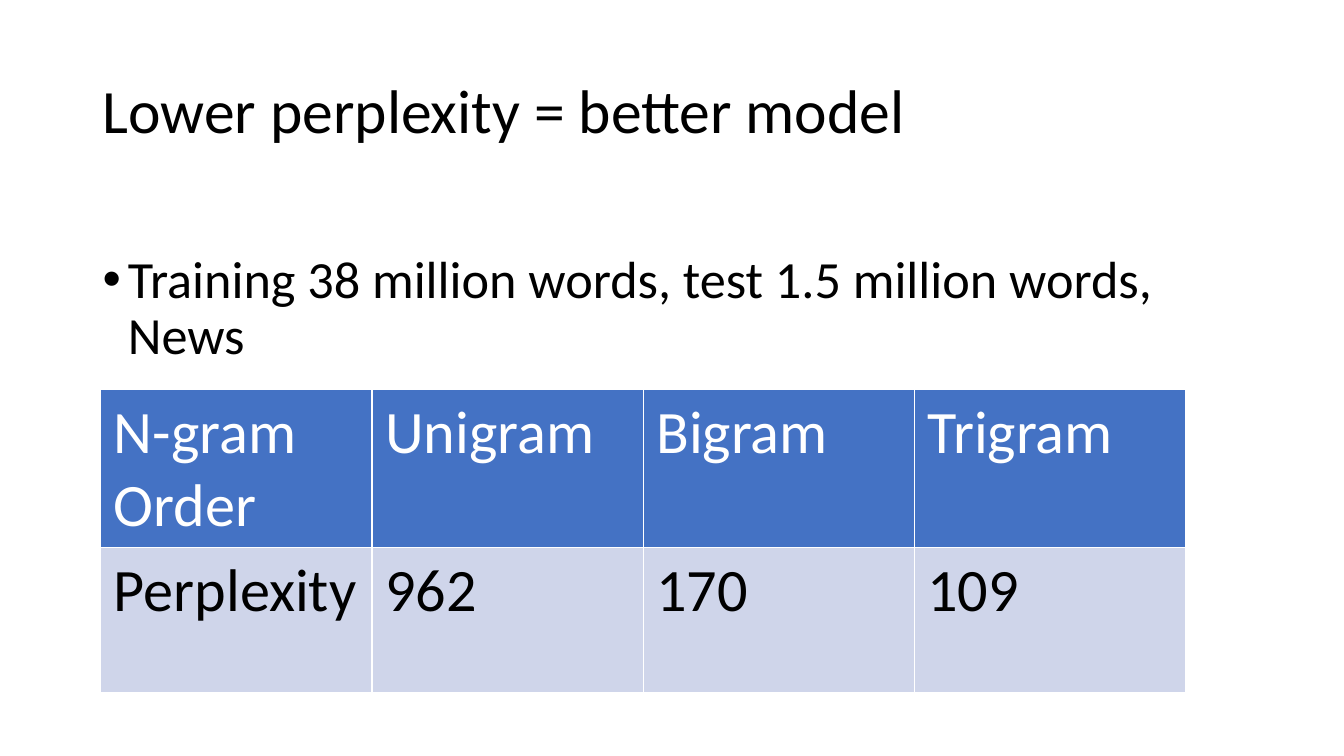
from lxml.etree import SubElement
from pptx import Presentation
from pptx.dml.color import RGBColor as RGB
from pptx.enum.text import MSO_ANCHOR as Anchor
from pptx.oxml.ns import qn
from pptx.util import Inches as In, Pt

COLORS = {"text": "000000", "white": "FFFFFF", "header": "4472C4", "band": "CFD5EA"}
FONT = "Calibri"
LEFT, WIDTH = 0.92, 11.5
TABLE_LEFT, TABLE_TOP, COLUMN_WIDTH = 1, 3.86, 2.69
ROW_HEIGHTS = [1.56, 1.44]
ROWS = [
    ["N-gram Order", "Unigram", "Bigram", "Trigram"],
    ["Perplexity", "962", "170", "109"],
]


def write(frame, text, size, color="text", line_spacing=None):
    paragraph = frame.paragraphs[0]
    paragraph.line_spacing = line_spacing
    run = paragraph.add_run()
    run.text = text
    run.font.name = FONT
    run.font.size = Pt(size)
    run.font.bold = False
    run.font.color.rgb = RGB.from_string(COLORS[color])
    return paragraph


def add_borders(cell, color="white", width=1):
    properties = cell._tc.get_or_add_tcPr()
    for side in ("a:lnL", "a:lnR", "a:lnT", "a:lnB"):
        line = SubElement(properties, qn(side), w=str(Pt(width)))
        fill = SubElement(line, qn("a:solidFill"))
        SubElement(fill, qn("a:srgbClr"), val=COLORS[color])


prs = Presentation()
prs.slide_width, prs.slide_height = In(13.33), In(7.5)
slide = prs.slides.add_slide(prs.slide_layouts[6])

# Title
title = slide.shapes.add_textbox(In(LEFT), In(0.4), In(WIDTH), In(1.45)).text_frame
title.word_wrap = True
title.vertical_anchor = Anchor.MIDDLE
write(title, "Lower perplexity = better model", 44, line_spacing=0.9)

# Bullet
body = slide.shapes.add_textbox(In(LEFT), In(2), In(WIDTH), In(4.76)).text_frame
body.word_wrap = True
body.margin_top = In(0.51)
corpus = write(body, "Training 38 million words, test 1.5 million words, News",
               37.3, line_spacing=0.9)
bullet = corpus._p.get_or_add_pPr()
bullet.set("marL", str(In(0.25)))
bullet.set("indent", str(-In(0.25)))
SubElement(bullet, qn("a:buFont"), typeface="Arial")
SubElement(bullet, qn("a:buChar"), char="•")

# Perplexity table
table = slide.shapes.add_table(
    len(ROWS), len(ROWS[0]), In(TABLE_LEFT), In(TABLE_TOP),
    In(COLUMN_WIDTH * len(ROWS[0])), In(sum(ROW_HEIGHTS))).table
for column in table.columns:
    column.width = In(COLUMN_WIDTH)
for r, (values, height) in enumerate(zip(ROWS, ROW_HEIGHTS)):
    table.rows[r].height = In(height)
    fill_color, text_color = ("band", "text") if r else ("header", "white")
    for c, value in enumerate(values):
        cell = table.cell(r, c)
        cell.margin_left = cell.margin_right = In(0.13)
        cell.margin_top = cell.margin_bottom = In(0.07)
        add_borders(cell)
        cell.fill.solid()
        cell.fill.fore_color.rgb = RGB.from_string(COLORS[fill_color])
        write(cell.text_frame, value, 43, text_color)

prs.save("out.pptx")
